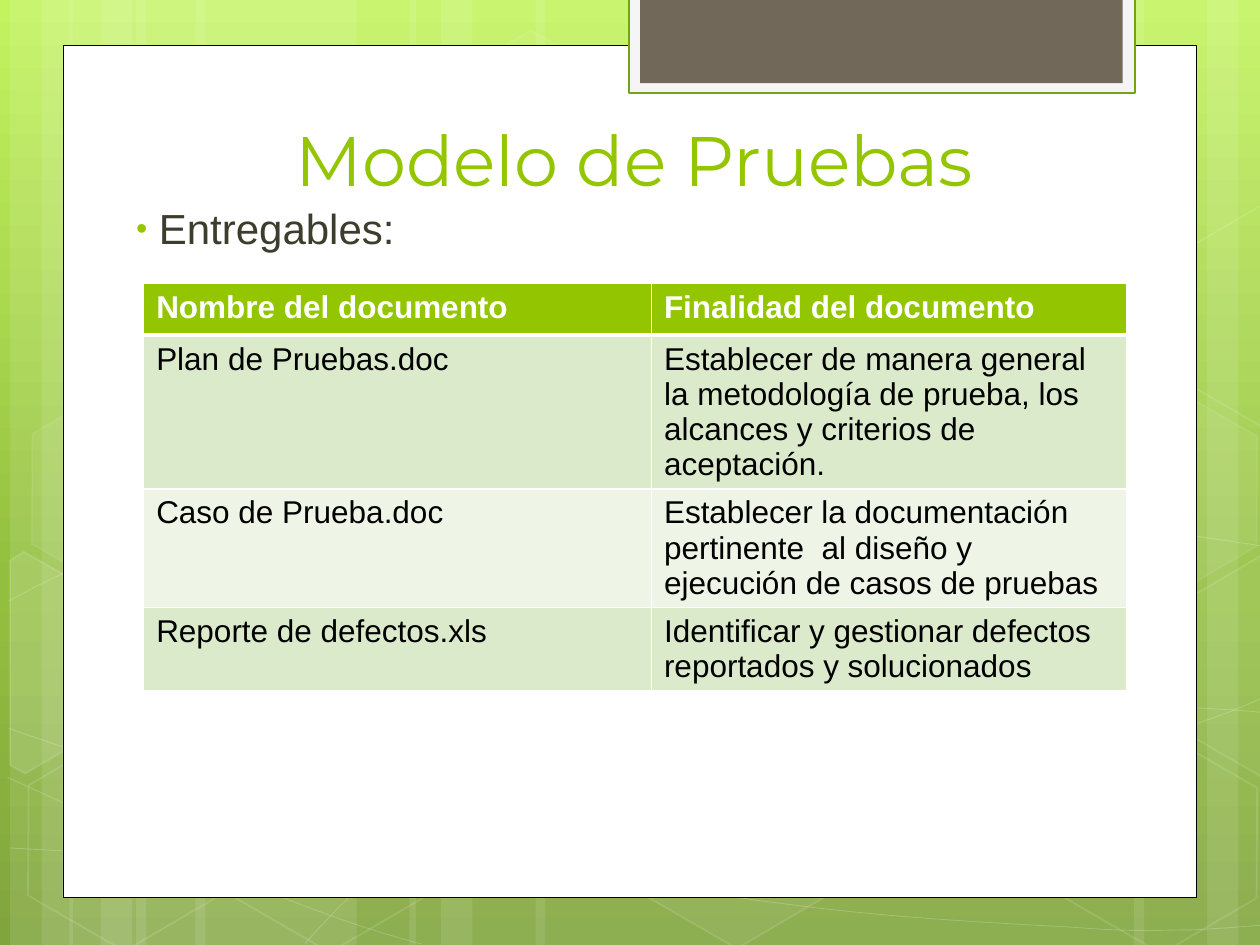
from lxml import etree
from pptx import Presentation
from pptx.dml.color import RGBColor
from pptx.enum import shapes, text
from pptx.oxml import ns, parse_xml
from pptx.util import Inches, Pt

WHITE = RGBColor(0xFF, 0xFF, 0xFF)
BLACK = RGBColor(0, 0, 0)
GREEN = RGBColor(0x94, 0xC6, 0x00)
DARK_GREEN = RGBColor(0x74, 0xA5, 0x10)
OLIVE = RGBColor(0x3E, 0x3D, 0x2D)
PALE = RGBColor(0xF5, 0xF5, 0xF5)
BROWN = RGBColor(0x71, 0x68, 0x5A)
BANDS = RGBColor(0xDC, 0xEA, 0xCC), RGBColor(0xEE, 0xF5, 0xE7)
GRADIENT = [(0, RGBColor(0xC3, 0xF3, 0x5F)), (62, RGBColor(0x93, 0xBF, 0x3F)),
            (100, RGBColor(0x81, 0xA5, 0x3E))]

TITLE = "Modelo de Pruebas"
BULLET = " Entregables:"
ROWS = [
    ("Nombre del documento", "Finalidad del documento"),
    ("Plan de Pruebas.doc", "Establecer de manera general la metodología de prueba, "
     "los alcances y criterios de aceptación."),
    ("Caso de Prueba.doc", "Establecer la documentación pertinente  al diseño y "
     "ejecución de casos de pruebas"),
    ("Reporte de defectos.xls", "Identificar y gestionar defectos reportados y solucionados"),
]
COLUMNS = [4.03, 3.77]

# Stripes: left, width
STRIPES = [(1.08, 1.75), (0.08, 0.5), (0.33, 0.83), (1.55, 1.75), (0.55, 0.5), (0.8, 0.83),
           (7.33, 1.75), (9.58, 0.5), (9, 0.83), (4.25, 3.08), (3.25, 0.5), (3.5, 0.83)]
# Waves: start point, then three points (two controls and an end) for each Bezier segment
WAVES = [
    [(0.07, 6.73), (0.61, 6.76), (1.15, 6.79), (1.9, 6.78), (2.65, 6.77), (3.58, 6.75),
     (4.58, 6.65), (5.58, 6.55), (7, 6.36), (7.92, 6.17), (8.83, 5.98), (9.77, 5.68),
     (10.07, 5.51)],
    [(0.07, 4.77), (0.36, 4.61), (0.65, 4.46), (1.21, 4.31), (1.78, 4.16), (2.59, 3.94),
     (3.47, 3.87), (4.36, 3.8), (5.44, 3.79), (6.54, 3.87), (7.64, 3.95), (9.47, 4.26),
     (10.07, 4.34)],
    [(0.06, 6.17), (1.27, 6.72), (2.47, 7.27), (3.34, 7.49)],
    [(0.07, 5.78), (0.38, 5.89), (0.7, 6), (1.28, 6.16), (1.86, 6.31), (2.73, 6.56),
     (3.57, 6.73), (4.4, 6.9), (5.45, 7.08), (6.28, 7.18), (7.11, 7.29), (8, 7.33),
     (8.53, 7.36), (9.05, 7.4), (9.19, 7.38), (9.45, 7.38), (9.71, 7.37), (9.89, 7.35),
     (10.07, 7.34)],
    [(2.42, 7.49), (2.6, 7.29), (2.78, 7.09), (3.02, 6.91), (3.26, 6.73), (3.6, 6.53),
     (3.88, 6.39), (4.16, 6.25), (4.33, 6.19), (4.7, 6.09), (5.06, 5.99), (5.73, 5.85),
     (6.08, 5.78), (6.44, 5.71), (6.49, 5.71), (6.8, 5.69), (7.11, 5.66), (7.6, 5.63),
     (7.94, 5.62), (8.29, 5.61), (8.86, 5.62), (8.86, 5.62), (9.08, 5.62), (9.31, 5.62),
     (9.53, 5.62), (9.71, 5.63), (9.88, 5.64), (9.97, 5.65), (10.06, 5.66), (10.03, 5.65),
     (10.06, 5.66)],
]
# Hexagons: left, top, fill opacity, line opacity
HEXAGONS = [(3.34, 0.36, 4, 8), (4.97, 5.89, 6, 12), (0.11, 5.91, None, 12),
            (0.14, 3.12, 7, 8), (1.74, 5.92, None, 12), (7.53, 4.53, 10, 12),
            (8.34, 5.93, None, 12), (8.34, 3.14, 7, 8)]
# Hexagons cut by the slide edge: points, fill opacity
CUT_HEXAGONS = [
    ([(0.08, 4.45), (0.19, 4.38), (0.96, 4.82), (0.95, 5.7), (0.2, 6.14), (0.08, 6.07)], 10),
    ([(9.26, 4.85), (10.01, 4.41), (10.09, 4.46), (10.09, 6.13), (10.02, 6.17),
      (9.26, 5.73)], 4),
    ([(9.26, 2.07), (10.01, 1.63), (10.1, 1.68), (10.09, 3.35), (10.02, 3.39),
      (9.26, 2.95)], None),
]
# Panels: box, fill, line colour, line width
PANELS = [((0.5, 0.36, 9, 6.76), WHITE, BLACK, 0.5),
          ((4.99, -0.02, 4.02, 0.76), PALE, DARK_GREEN, 1.25),
          ((5.08, -0.02, 3.83, 0.68), BROWN, None, 0)]


def paint(fill, color, opacity=100):
    """Apply a solid colour with opacity in percent, or no fill without a colour."""
    if color is None or opacity is None:
        fill.background()
        return
    fill.solid()
    fill.fore_color.rgb = color
    if opacity < 100:
        clr = fill._xPr.find(".//" + ns.qn("a:srgbClr"))
        etree.SubElement(clr, ns.qn("a:alpha"), val=str(opacity * 1000))


def style(sp, fill, line, width=1, fill_opacity=100, line_opacity=100):
    sp.shadow.inherit = False
    paint(sp.fill, fill, fill_opacity)
    sp.line.width = Pt(width)
    paint(sp.line.fill, line, line_opacity)


def add_box(parent, kind, box):
    return parent.add_shape(kind, *map(Inches, box))


def add_path(parent, points, close):
    start, *rest = [(Inches(x), Inches(y)) for x, y in points]
    builder = parent.build_freeform(*start)
    builder.add_line_segments(rest, close=close)
    return builder.convert_to_shape()


def add_wave(parent, points):
    """Draw the points as a path, then join each three line segments into one curve."""
    sp = add_path(parent, points, False)
    segments = list(sp._element.iter(ns.qn("a:lnTo")))
    for i in range(0, len(segments), 3):
        curve = etree.Element(ns.qn("a:cubicBezTo"))
        segments[i].addprevious(curve)
        for segment in segments[i:i + 3]:
            curve.append(segment[0])
            segment.getparent().remove(segment)
    return sp


def set_background(s):
    stops = "".join(f'<a:gs pos="{pos * 1000}"><a:srgbClr val="{color}"/></a:gs>'
                    for pos, color in GRADIENT)
    s.background.fill.solid()
    solid = s._element.find(".//" + ns.qn("p:bgPr"))[0]
    solid.getparent().replace(solid, parse_xml(
        f'<a:gradFill {ns.nsdecls("a")} rotWithShape="1"><a:gsLst>{stops}</a:gsLst>'
        '<a:lin ang="5400000" scaled="0"/></a:gradFill>'))


def add_decoration(s):
    group = s.shapes.add_group_shape().shapes
    for left, width in STRIPES:
        sp = add_box(group, shapes.MSO_SHAPE.RECTANGLE, (left, 0, width, 7.5))
        style(sp, WHITE, None, fill_opacity=10)
    for wave in WAVES:
        style(add_wave(group, wave), None, WHITE, 0.5, line_opacity=20)
    for left, top, fill_opacity, line_opacity in HEXAGONS:
        sp = add_box(group, shapes.MSO_SHAPE.HEXAGON, (left, top, 1.75, 1.52))
        sp.adjustments[0] = 0.285
        sp.rotation = 30
        style(sp, WHITE, WHITE, 1, fill_opacity, line_opacity)
    for points, opacity in CUT_HEXAGONS:
        style(add_path(group, points, True), WHITE, WHITE, 1, opacity, 12)
    for box, fill, line, width in PANELS:
        style(add_box(s.shapes, shapes.MSO_SHAPE.RECTANGLE, box), fill, line, width)


def write(p, content, color, **font):
    r = p.add_run()
    r.text = content
    r.font.color.rgb = color
    for name, value in font.items():
        setattr(r.font, name, value)


def fill_placeholder(s, ph, box, anchor):
    """Move a placeholder in front of the decoration and return its first paragraph."""
    s.shapes._spTree.append(ph._element)
    for name, value in zip(("left", "top", "width", "height"), box):
        setattr(ph, name, Inches(value))
    tf = ph.text_frame
    tf.auto_size = text.MSO_AUTO_SIZE.NONE
    tf.vertical_anchor = anchor
    return tf.paragraphs[0]


def add_bullet(p):
    pPr = p._p.get_or_add_pPr()
    pPr.set("marL", str(Inches(0.12)))
    pPr.set("indent", "0")
    color = etree.SubElement(pPr, ns.qn("a:buClr"))
    etree.SubElement(color, ns.qn("a:srgbClr"), val=str(GREEN))
    for tag, name, value in (("buSzPct", "val", "76000"), ("buFont", "typeface", "Arial"),
                             ("buChar", "char", "•")):
        etree.SubElement(pPr, ns.qn("a:" + tag)).set(name, value)


def set_borders(cell, bottom):
    tcPr = cell._tc.get_or_add_tcPr()
    for i, (side, width) in enumerate((("L", 1), ("R", 1), ("T", 1), ("B", bottom))):
        tcPr.insert(i, parse_xml(
            f'<a:ln{side} {ns.nsdecls("a")} w="{Pt(width)}"><a:solidFill>'
            f'<a:srgbClr val="{WHITE}"/></a:solidFill></a:ln{side}>'))


def add_deliverables(s):
    row_height = 0.41
    table = s.shapes.add_table(len(ROWS), len(COLUMNS), Inches(1.14), Inches(2.25),
                               Inches(sum(COLUMNS)), Inches(row_height * len(ROWS))).table
    for column, width in zip(table.columns, COLUMNS):
        column.width = Inches(width)
    for i, row in enumerate(ROWS):
        header = i == 0
        for j, content in enumerate(row):
            cell = table.cell(i, j)
            paint(cell.fill, GREEN if header else BANDS[(i - 1) % 2])
            set_borders(cell, 3 if header else 1)
            write(cell.text_frame.paragraphs[0], content, WHITE if header else BLACK,
                  size=Pt(18), name="Arial", bold=header)


def main():
    prs = Presentation()
    prs.slide_width, prs.slide_height = Inches(10), Inches(7.5)
    s = prs.slides.add_slide(prs.slide_layouts[1])
    set_background(s)
    add_decoration(s)
    p = fill_placeholder(s, s.shapes.title, (0.62, 0.47, 8.83, 1.17), text.MSO_ANCHOR.BOTTOM)
    p.alignment = text.PP_ALIGN.CENTER
    write(p, TITLE, GREEN, size=Pt(40), name="Montserrat")
    p = fill_placeholder(s, s.placeholders[1], (0.86, 1.56, 7.97, 4.86), text.MSO_ANCHOR.TOP)
    p.space_before = Pt(4.8)
    add_bullet(p)
    write(p, BULLET, OLIVE, size=Pt(24), name="Arial")
    add_deliverables(s)
    prs.save("out.pptx")


if __name__ == "__main__":
    main()
